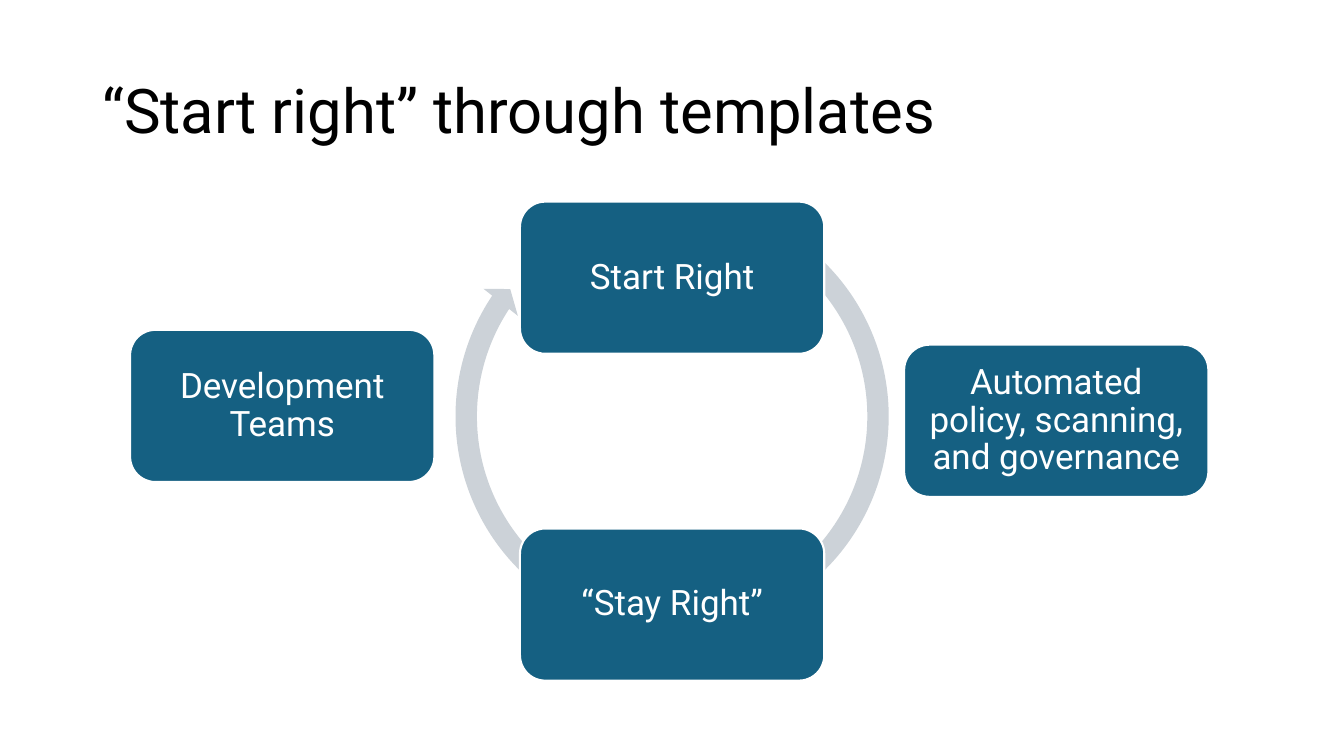
from pptx import Presentation
from pptx.dml.color import RGBColor
from pptx.enum.shapes import MSO_SHAPE as Shape
from pptx.enum.text import MSO_ANCHOR as Anchor, PP_ALIGN as Align
from pptx.util import Pt

FONT = "Roboto"
WHITE, BLACK, BLUE, GREY = "FFFFFF", "000000", "156082", "CCD2D8"
BOX_WIDTH, BOX_HEIGHT = 217.4, 108.7
CENTRE_LEFT = 371.4
STEPS = [
    ("Start Right", CENTRE_LEFT, 144),
    ("Automated policy, scanning, and governance", 645.8, 246.2),
    ("“Stay Right”", CENTRE_LEFT, 377.5),
    ("Development Teams", 92.9, 235.6),
]


def colour(hex_code):
    return RGBColor.from_string(hex_code)


def write(shape, text, size, color, align=Align.LEFT, inset=(7.2, 3.6), space_after=0):
    """Fill a shape with one wrapped paragraph; inset is (sides, top and bottom)."""
    frame = shape.text_frame
    frame.word_wrap = True
    frame.vertical_anchor = Anchor.MIDDLE
    frame.margin_left = frame.margin_right = Pt(inset[0])
    frame.margin_top = frame.margin_bottom = Pt(inset[1])
    para = frame.paragraphs[0]
    para.alignment = align
    para.line_spacing = 0.9
    para.space_after = Pt(space_after)
    span = para.add_run()
    span.text = text
    span.font.name = FONT
    span.font.size = Pt(size)
    span.font.color.rgb = colour(color)


def add_filled(page, kind, left, top, width, height, fill):
    shape = page.shapes.add_shape(kind, Pt(left), Pt(top), Pt(width), Pt(height))
    shape.shadow.inherit = False
    shape.fill.solid()
    shape.fill.fore_color.rgb = colour(fill)
    return shape


def add_title(page, text):
    box = page.shapes.add_textbox(Pt(66), Pt(28.75), Pt(828), Pt(104.4))
    write(box, text, size=44, color=BLACK)


def add_cycle_arrow(page):
    arrow = add_filled(page, Shape.CIRCULAR_ARROW, 317.4, 134.7, 325.4, 325.4, GREY)
    arrow.line.fill.background()
    # thickness, head angle, end angle, start angle, head width
    for index, value in enumerate((0.047, 2.729, 128.177, 180.402, 0.048)):
        arrow.adjustments[index] = value


def add_step(page, text, left, top):
    box = add_filled(page, Shape.ROUNDED_RECTANGLE, left, top, BOX_WIDTH, BOX_HEIGHT, BLUE)
    box.line.color.rgb = colour(WHITE)
    box.line.width = Pt(1.5)
    write(box, text, size=25, color=WHITE, align=Align.CENTER, inset=(7.2, 7.2),
          space_after=8.75)


def main():
    deck = Presentation()
    deck.slide_width, deck.slide_height = Pt(960), Pt(540)
    page = deck.slides.add_slide(deck.slide_layouts[6])
    add_title(page, "“Start right” through templates")
    add_cycle_arrow(page)
    for text, left, top in STEPS:
        add_step(page, text, left, top)
    deck.save("out.pptx")


if __name__ == "__main__":
    main()
